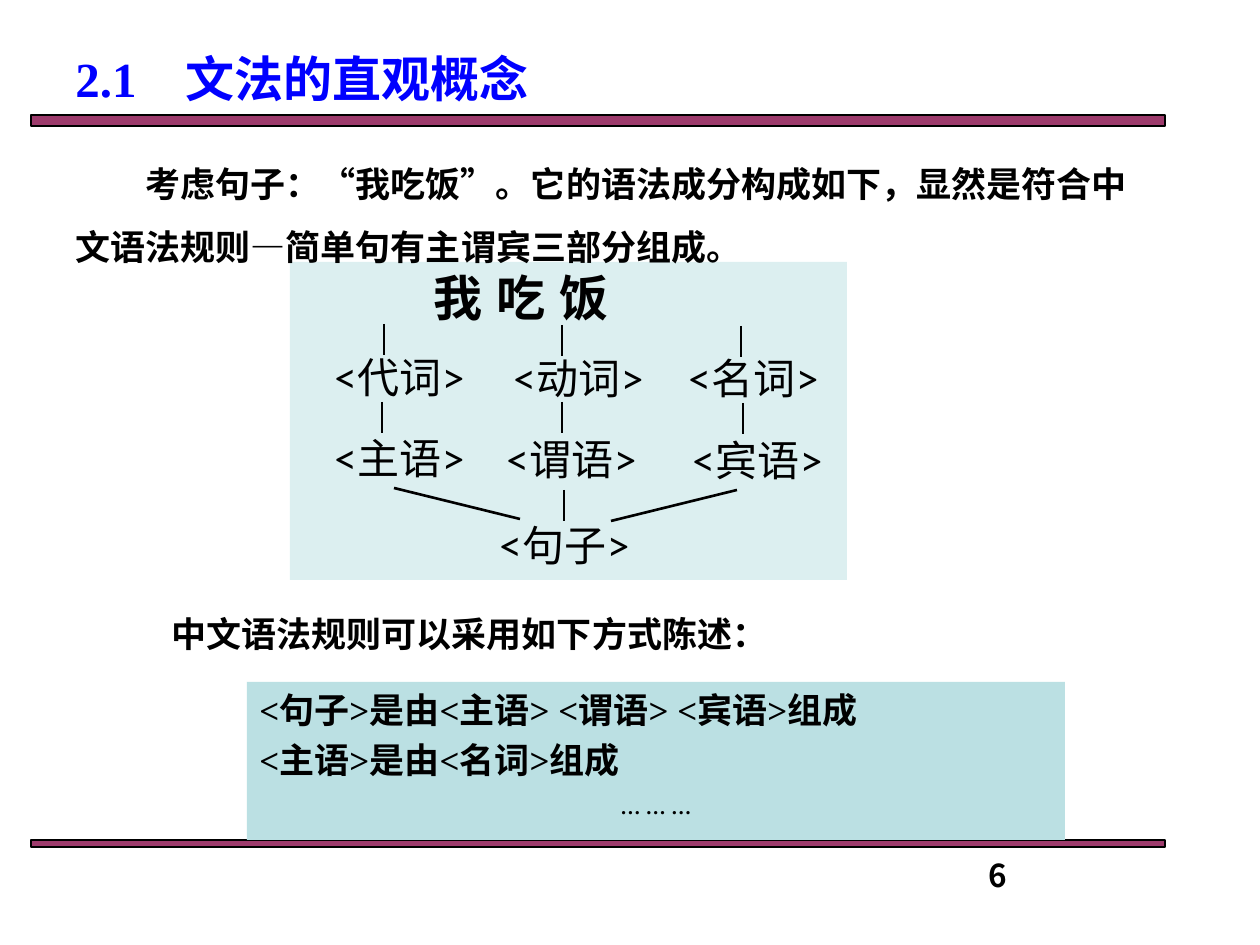
import pptx
import pptx.dml.color
import pptx.enum.shapes
import pptx.enum.text
import pptx.oxml.ns
import pptx.util
from lxml import etree

RGB = pptx.dml.color.RGBColor
BLACK = RGB(0x00, 0x00, 0x00)
BLUE = RGB(0x00, 0x00, 0xFF)
PLUM = RGB(0x99, 0x33, 0x66)
TEAL = RGB(0xBB, 0xE0, 0xE3)
SERIF, SANS, HAN = "Times New Roman", "Lato", "Noto Sans CJK SC"
LEFT = pptx.enum.text.PP_ALIGN.LEFT
MID = pptx.enum.text.PP_ALIGN.CENTER
SCALE = 914400 / 126


def px(num):
    return pptx.util.Emu(round(num * SCALE))


def sub(node, tag, **attrs):
    return etree.SubElement(node, pptx.oxml.ns.qn(tag), **attrs)


def rect(slide, box, fill, alpha=100, edge=None):
    kind = pptx.enum.shapes.MSO_SHAPE.RECTANGLE
    shape = slide.shapes.add_shape(kind, *map(px, box))
    shape.shadow.inherit = False
    shape.fill.solid()
    shape.fill.fore_color.rgb = fill
    if alpha < 100:
        color = shape.fill._xPr.find(".//" + pptx.oxml.ns.qn("a:srgbClr"))
        sub(color, "a:alpha", val=str(alpha * 1000))
    if edge is None:
        shape.line.fill.background()
    else:
        shape.line.color.rgb = edge
        shape.line.width = pptx.util.Pt(0.75)
    return shape


def line(slide, start, end):
    kind = pptx.enum.shapes.MSO_CONNECTOR.STRAIGHT
    link = slide.shapes.add_connector(kind, *map(px, start + end))
    link.line.color.rgb = BLACK
    link.line.width = pptx.util.Pt(1.5)
    sub(link._element.spPr, "a:effectLst")


def write(para, text, size=20, font=SERIF, color=BLACK, bold=True,
          align=LEFT, lead=1, gap=0, margin=0, indent=0, tabs=(), raised=0):
    """Fill a paragraph; margin, indent and tabs are in px."""
    props = para._p.get_or_add_pPr()
    props.set("marL", str(px(margin)))
    props.set("indent", str(px(indent)))
    para.alignment = align
    para.line_spacing = lead
    para.space_before = pptx.util.Pt(gap)
    if tabs:
        stops = sub(props, "a:tabLst")
        for tab in tabs:
            sub(stops, "a:tab", pos=str(px(tab)), algn="l")
    run = para.add_run()
    run.text = text
    run.font.size = pptx.util.Pt(size)
    run.font.name = font
    run.font.bold = bold
    run.font.color.rgb = color
    sub(run._r.rPr, "a:ea", typeface=HAN)
    if raised:
        run._r.rPr.set("baseline", str(raised * 1000))


def label(slide, box, text, **style):
    frame = slide.shapes.add_textbox(*map(px, box)).text_frame
    frame.word_wrap = True
    write(frame.paragraphs[0], text, **style)


def bars(slide, box):
    """Bars at the head and foot of the box."""
    left, top, width, height = box
    rect(slide, (left, top, width, 11), PLUM, 96, BLACK)
    rect(slide, (left, top + height - 7, width, 7), PLUM, 96, BLACK)


def tree(slide, box):
    """Sentence on top, its word classes, its parts, and the root below."""
    left, top, width, height = box
    rect(slide, box, TEAL, 50)
    label(slide, (left + 10, top - 1, 525, 72), "我\t吃\t饭", size=28,
          font=HAN, margin=121, tabs=(226, 330))
    nodes = [("代词", 20, 83), ("动词", 199, 84), ("名词", 374, 84),
             ("主语", 20, 164), ("谓语", 192, 165), ("宾语", 378, 166),
             ("句子", 185, 251)]
    for name, x, y in nodes:
        label(slide, (left + x, top + y, 179, 63), f"<{name}>", size=24,
              font=SANS, bold=False, align=MID)
    stems = [(94, 62, 0), (272, 63, 0), (451, 64, 0),
             (92, 140, 0), (272, 140, 0), (453, 141, 0),
             (104, 226, 126), (274, 228, 0), (447, 228, -126)]
    for x, y, run in stems:
        start = (left + x, top + y)
        line(slide, start, (start[0] + run, start[1] + 31))


def rules(slide, box):
    frame = rect(slide, box, TEAL).text_frame
    frame.word_wrap = True
    frame.vertical_anchor = pptx.enum.text.MSO_ANCHOR.TOP
    write(frame.paragraphs[0], "<句子>是由<主语> <谓语> <宾语>组成")
    write(frame.add_paragraph(), "<主语>是由<名词>组成", gap=5)
    write(frame.add_paragraph(), "… … …", gap=5, align=MID, raised=30)


def main():
    deck = pptx.Presentation()
    deck.slide_width, deck.slide_height = px(1260), px(945)
    slide = deck.slides.add_slide(deck.slide_layouts[6])
    bars(slide, (31, 115, 1134, 732))
    label(slide, (63, 42, 536, 84), "2.1　文法的直观概念", size=28, color=BLUE)
    tree(slide, (290, 262, 557, 318))
    label(slide, (63, 135, 1077, 140),
          "考虑句子：“我吃饭”。它的语法成分构成如下，显然是符合中文语法规则—"
          "简单句有主谓宾三部分组成。", lead=1.5, indent=70)
    label(slide, (159, 606, 824, 54), "中文语法规则可以采用如下方式陈述：")
    rules(slide, (247, 682, 818, 158))
    label(slide, (976, 850, 284, 53), "6", size=18, font=HAN)
    deck.save("out.pptx")


if __name__ == "__main__":
    main()
